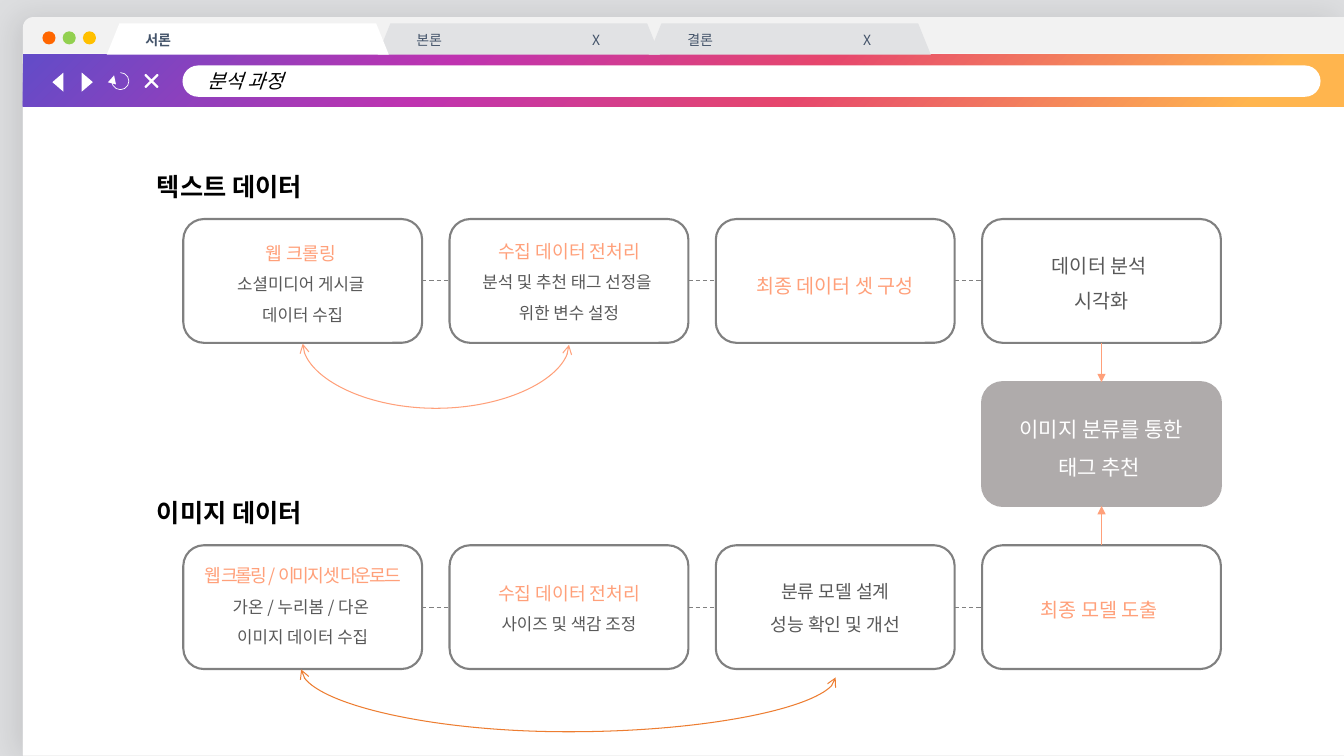
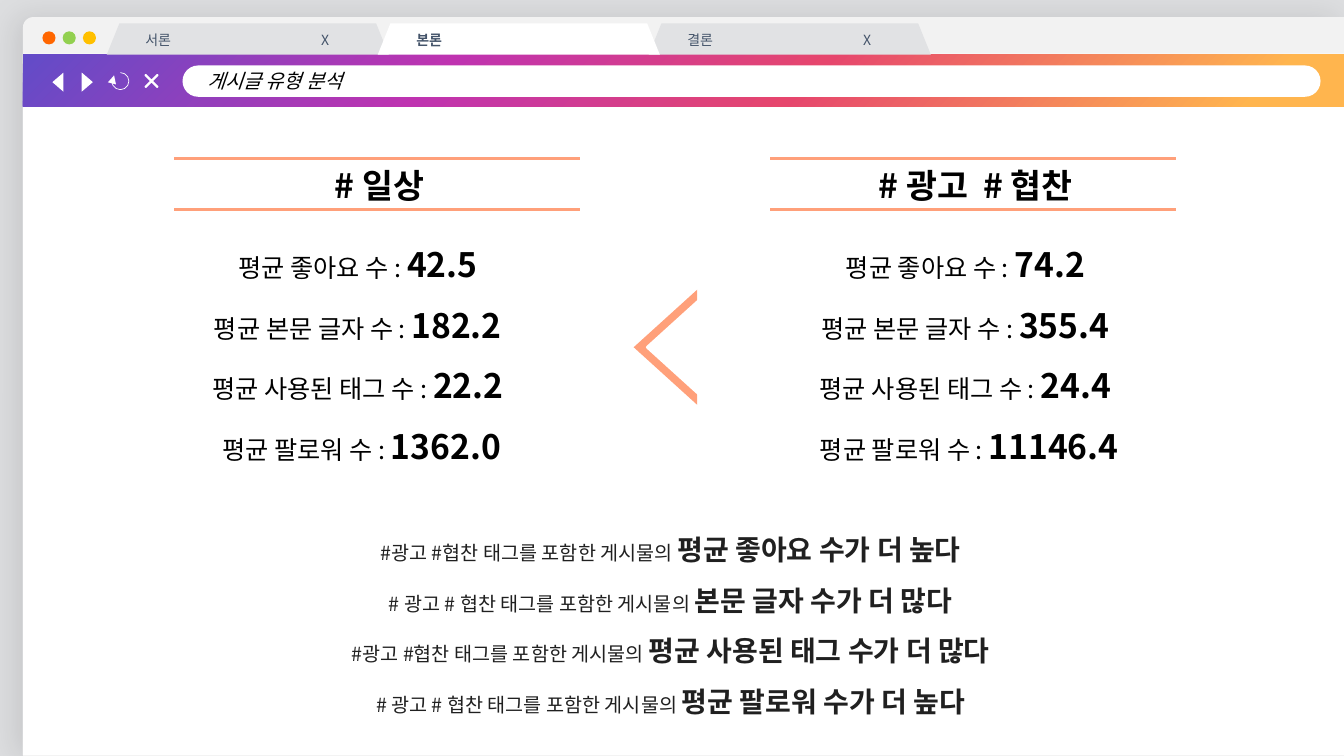
"""Build two browser-style slides: the analysis process and the post type comparison."""
from lxml.etree import SubElement
from pptx import Presentation
from pptx.dml.color import RGBColor
from pptx.enum.dml import MSO_LINE
from pptx.enum.shapes import MSO_CONNECTOR, MSO_SHAPE
from pptx.enum.text import MSO_ANCHOR, PP_ALIGN
from pptx.oxml import parse_xml
from pptx.oxml.ns import nsdecls, qn
from pptx.util import Cm, Pt

FONT = "Noto Sans CJK KR"
COLORS = {
    "backdrop": "DDDEE0", "frame": "F2F2F2", "white": "FFFFFF", "black": "000000",
    "red": "FF6600", "green": "92D050", "yellow": "FFC000",
    "tab": "E1E2E4", "tab_text": "44546A", "salmon": "FFA07A", "orange": "ED7D31",
    "gray": "808080", "goal": "AFABAB", "body": "595959", "verdict": "202020",
}
GRADIENT = [(0, "624CC8"), (32, "BF33B0"), (59, "E6466D"), (93, "FFB54E")]
TABS = ["서론", "본론", "결론"]
BOX_X, BOX_Y, BOX_W, BOX_H = 4.62, 5.52, 6.02, 3.12
COL_STEP, ROW_STEP = 6.71, 4.11


class Deck:
    """Hold the shared style and the current slide."""

    def __init__(self):
        """Open an empty wide presentation."""
        self.prs = Presentation()
        self.prs.slide_width, self.prs.slide_height = Cm(33.87), Cm(19.05)
        self.s = None

    def color(self, name):
        """Return a named colour."""
        return RGBColor.from_string(COLORS[name])

    def shape(self, kind, x, y, w, h, fill=None, line=None, width=1, rot=0, adj=()):
        """Add a preset shape without shadow."""
        sp = self.s.shapes.add_shape(kind, Cm(x), Cm(y), Cm(w), Cm(h))
        sp.shadow.inherit = False
        sp.rotation = rot
        for i, value in enumerate(adj):
            sp.adjustments[i] = value
        if fill:
            sp.fill.solid()
            sp.fill.fore_color.rgb = self.color(fill)
        else:
            sp.fill.background()
        if line:
            sp.line.color.rgb = self.color(line)
            sp.line.width = Pt(width)
        else:
            sp.line.fill.background()
        return sp

    def run(self, p, text, size, color, bold=False, italic=False, spc=0):
        """Add one styled run to a paragraph."""
        r = p.add_run()
        r.text = text
        r.font.size, r.font.bold, r.font.italic = Pt(size), bold, italic
        r.font.color.rgb = self.color(color)
        r.font.name = FONT
        rpr = r.font._element
        SubElement(rpr, qn("a:ea")).set("typeface", FONT)
        if spc:
            rpr.set("spc", str(int(spc * 100)))

    def text(self, x, y, w, h, paras, spacing=1.5, inset=0.25, anchor=MSO_ANCHOR.TOP):
        """Add a centred text box; each paragraph is a list of runs."""
        tf = self.s.shapes.add_textbox(Cm(x), Cm(y), Cm(w), Cm(h)).text_frame
        tf.word_wrap = True
        tf.vertical_anchor = anchor
        tf.margin_left = tf.margin_right = Cm(inset)
        for i, runs in enumerate(paras):
            p = tf.add_paragraph() if i else tf.paragraphs[0]
            p.alignment = PP_ALIGN.CENTER
            p.line_spacing = spacing
            for args in runs:
                self.run(p, *args)

    def label(self, sp, inset):
        """Prepare a shape for left-aligned text and return its paragraph."""
        tf = sp.text_frame
        tf.margin_left = Cm(inset)
        tf.vertical_anchor = MSO_ANCHOR.MIDDLE
        p = tf.paragraphs[0]
        p.alignment = PP_ALIGN.LEFT
        return p

    def line(self, x1, y1, x2, y2, color, width, dash=False, head=None, tail=None,
             kind=MSO_CONNECTOR.STRAIGHT):
        """Add a connector with optional dash and arrowheads."""
        c = self.s.shapes.add_connector(kind, Cm(x1), Cm(y1), Cm(x2), Cm(y2))
        c.line.color.rgb = self.color(color)
        c.line.width = Pt(width)
        if dash:
            c.line.dash_style = MSO_LINE.DASH
        self.arrowheads(c, head, tail)
        SubElement(c._element.spPr, qn("a:effectLst"))
        return c

    def arrowheads(self, sp, head=None, tail=None):
        """Put arrowheads on the ends of a line."""
        ln = sp.line._get_or_add_ln()
        for tag, style in (("a:headEnd", head), ("a:tailEnd", tail)):
            if style:
                SubElement(ln, qn(tag)).set("type", style)

    def loop(self, x1, y1, x2, y2, bottom, color):
        """Add a double-headed curve that sags to the given bottom."""
        w, h = y2 - y1, x2 - x1
        x, y = (x1 + x2 - w) / 2, (y1 + y2 - h) / 2
        c = self.line(x, y, x + w, y + h, color, 0.75, head="arrow", tail="arrow",
                      kind=MSO_CONNECTOR.CURVE)
        sp_pr = c._element.spPr
        xfrm = sp_pr.find(qn("a:xfrm"))
        xfrm.set("rot", str(270 * 60000))
        xfrm.set("flipH", "1")
        geom = sp_pr.find(qn("a:prstGeom"))
        guides = geom.find(qn("a:avLst"))
        if guides is None:
            guides = SubElement(geom, qn("a:avLst"))
        guide = SubElement(guides, qn("a:gd"))
        guide.set("name", "adj1")
        guide.set("fmla", f"val {round((bottom - y1) / w * 100000)}")

    def window(self):
        """Draw the browser window with its shadow and buttons."""
        sp = self.shape(MSO_SHAPE.ROUND_1_RECTANGLE, 0.58, 0.43, 33.29, 18.62,
                        "frame", adj=[0.014])
        sp_pr = sp._element.spPr
        sp_pr.find(qn("a:xfrm")).set("flipH", "1")
        sp_pr.find(qn("a:effectLst")).append(parse_xml(
            f'<a:outerShdw {nsdecls("a")} blurRad="{Pt(22)}" dist="{Pt(5)}" dir="10800000" '
            'algn="r" rotWithShape="0"><a:srgbClr val="000000"><a:alpha val="10000"/>'
            '</a:srgbClr></a:outerShdw>'))
        self.shape(MSO_SHAPE.RECTANGLE, 0.58, 1.35, 33.29, 17.68, "white")
        for i, color in enumerate(["red", "green", "yellow"]):
            self.shape(MSO_SHAPE.OVAL, 1.07 + 0.51 * i, 0.79, 0.33, 0.33, color)

    def toolbar(self, title):
        """Draw the gradient bar, the navigation icons and the title field."""
        bar = self.shape(MSO_SHAPE.RECTANGLE, 0.58, 1.37, 33.29, 1.32)
        stops = "".join(f'<a:gs pos="{pos * 1000}"><a:srgbClr val="{rgb}"/></a:gs>'
                        for pos, rgb in GRADIENT)
        sp_pr = bar._element.spPr
        sp_pr.replace(sp_pr.find(qn("a:noFill")), parse_xml(
            f'<a:gradFill {nsdecls("a")} rotWithShape="1"><a:gsLst>{stops}</a:gsLst>'
            '<a:lin ang="2700000" scaled="0"/></a:gradFill>'))
        field = self.shape(MSO_SHAPE.ROUNDED_RECTANGLE, 4.6, 1.65, 28.68, 0.79, "white",
                           adj=[0.5])
        self.run(self.label(field, 0.51), title, 14, "black", italic=True)
        for x, rot in ((1.96, 90), (1.22, 270)):
            self.shape(MSO_SHAPE.ISOSCELES_TRIANGLE, x, 1.93, 0.48, 0.28, "white", rot=rot)
        self.shape(MSO_SHAPE.MATH_PLUS, 3.53, 1.75, 0.58, 0.58, "gray", "white", 1, 315, [0.04])
        reload = self.shape(MSO_SHAPE.ARC, 2.82, 1.83, 0.43, 0.43, line="white", width=0.5,
                            adj=[162, 133.65])
        self.arrowheads(reload, tail="triangle")

    def tab(self, index, active):
        """Draw one browser tab."""
        sp = self.shape(MSO_SHAPE.TRAPEZOID, 2.69 + 6.83 * index, 0.59, 7.11, 0.79,
                        "white" if active else "tab", adj=[0.405])
        p = self.label(sp, 0.76)
        if not active:
            tabs = SubElement(p._p.get_or_add_pPr(), qn("a:tabLst"))
            stop = SubElement(tabs, qn("a:tab"))
            stop.set("pos", str(Cm(4.43)))
            stop.set("algn", "l")
        name = TABS[index] if active else TABS[index] + "\tX"
        self.run(p, name, 10, "tab_text", bold=active)

    def page(self, title, active):
        """Start a slide with the browser frame."""
        self.s = self.prs.slides.add_slide(self.prs.slide_layouts[6])
        fill = self.s.background.fill
        fill.solid()
        fill.fore_color.rgb = self.color("backdrop")
        self.window()
        self.toolbar(title)
        for i in sorted(range(len(TABS)), key=lambda i: i == active):
            self.tab(i, i == active)

    def step(self, col, row, top, lines, goal=False):
        """Draw one process box with its text."""
        x, y = BOX_X + COL_STEP * col, BOX_Y + ROW_STEP * row
        self.shape(MSO_SHAPE.ROUNDED_RECTANGLE, x, y, BOX_W, BOX_H,
                   "goal" if goal else None, "goal" if goal else "gray", 1.5)
        self.text(x, y + top, BOX_W, BOX_H - top, [[line] for line in lines], inset=0.1)

    def group(self, x, heading, stats, stats_x, stats_w):
        """Draw a ruled heading with its list of averages."""
        self.text(x + 0.16, 4.04, 10.03, 1.27, [heading], spacing=1)
        for y in (3.99, 5.28):
            self.line(x, y, x + 10.22, y, "salmon", 2.25)
        paras = [[(f"평균 {name} 수 : ", 18, "black"), (value, 24, "black", True)]
                 for name, value in stats]
        self.text(stats_x, 5.66, stats_w, 6.07, paras, inset=0, anchor=MSO_ANCHOR.MIDDLE)


def process_slide(deck):
    """Build the analysis process slide."""
    deck.page("분석 과정", 0)
    for y, title in ((4.19, "텍스트 데이터 "), (12.4, "이미지 데이터 ")):
        deck.text(1.57, y, 8.56, 1.02, [[(title, 18, "black", True)]], spacing=1)
    steps = [
        (0, 0, 0.18, [("웹 크롤링 ", 13, "salmon"), ("소셜미디어 게시글 ", 12, "body"),
                      ("데이터 수집", 12, "body")]),
        (1, 0, 0.13, [("수집 데이터 전처리", 13, "salmon"),
                      ("분석 및 추천 태그 선정을 ", 12, "body"),
                      ("위한 변수 설정", 12, "body")]),
        (2, 0, 0.97, [("최종 데이터 셋 구성", 14, "salmon")]),
        (3, 0, 0.46, [("데이터 분석 ", 14, "body"), ("시각화", 14, "body")]),
        (0, 2, 0.08, [("웹 크롤링 / 이미지 셋 다운로드", 13, "salmon", False, False, -1.5),
                      ("가온 / 누리봄 / 다온 ", 12, "body"),
                      ("이미지 데이터 수집", 12, "body")]),
        (1, 2, 0.53, [("수집 데이터 전처리", 13, "salmon"),
                      ("사이즈 및 색감 조정", 12, "body")]),
        (2, 2, 0.48, [("분류 모델 설계", 13, "body"), ("성능 확인 및 개선", 13, "body")]),
        (3, 2, 0.91, [("최종 모델 도출 ", 14, "salmon")]),
    ]
    for args in steps:
        deck.step(*args)
    deck.step(3, 1, 0.43, [("이미지 분류를 통한", 15, "white"), ("태그 추천 ", 15, "white")],
              goal=True)
    for row in (0, 2):
        y = BOX_Y + ROW_STEP * row + BOX_H / 2
        for col in range(3):
            x = BOX_X + COL_STEP * col
            deck.line(x + BOX_W, y, x + COL_STEP, y, "gray", 0.75, dash=True)
    x = BOX_X + COL_STEP * 3 + BOX_W / 2
    goal_y = BOX_Y + ROW_STEP
    for y1, y2 in ((BOX_Y + BOX_H, goal_y), (goal_y + ROW_STEP, goal_y + BOX_H)):
        deck.line(x, y1, x, y2, "salmon", 0.5, tail="triangle")
    deck.loop(7.63, 8.66, 14.34, 8.69, 10.29, "salmon")
    deck.loop(7.59, 16.87, 21.06, 17.07, 18.44, "orange")


def comparison_slide(deck):
    """Build the post type comparison slide."""
    deck.page("게시글 유형 분석", 1)
    verdicts = [("#광고 #협찬", "평균 좋아요 수가 더 높다"),
                ("# 광고 # 협찬", "본문 글자 수가 더 많다"),
                ("#광고 #협찬", "평균 사용된 태그 수가 더 많다"),
                ("# 광고 # 협찬", "평균 팔로워 수가 더 높다")]
    deck.text(2.44, 12.88, 28.93, 5.23, [
        [(f"{tags} 태그를 포함한 게시물의 ", 14, "verdict"), (result, 20, "verdict", True)]
        for tags, result in verdicts])
    names = ["좋아요", "본문 글자", "사용된 태그", "팔로워"]
    daily = zip(names, ["42.5 ", "182.2 ", "22.2 ", "1362.0"])
    sponsored = zip(names, ["74.2 ", "355.4 ", "24.4 ", "11146.4"])
    deck.group(4.39, [("# 일상", 24, "black", True)], daily, 2.74, 12.75)
    deck.group(19.41, [("# 광고", 24, "black", True), (" ", 24, "black", True, False, 5.4),
                       ("# 협찬", 24, "black", True)], sponsored, 17.02, 14.81)
    for x, color, line in ((15.32, "salmon", None), (15.67, "white", "white")):
        deck.shape(MSO_SHAPE.ISOSCELES_TRIANGLE, x, 7.95, 2.9, 1.6, color, line, 2.25, 270)


def main():
    """Build and save the deck."""
    deck = Deck()
    process_slide(deck)
    comparison_slide(deck)
    deck.prs.save("out.pptx")


if __name__ == "__main__":
    main()
